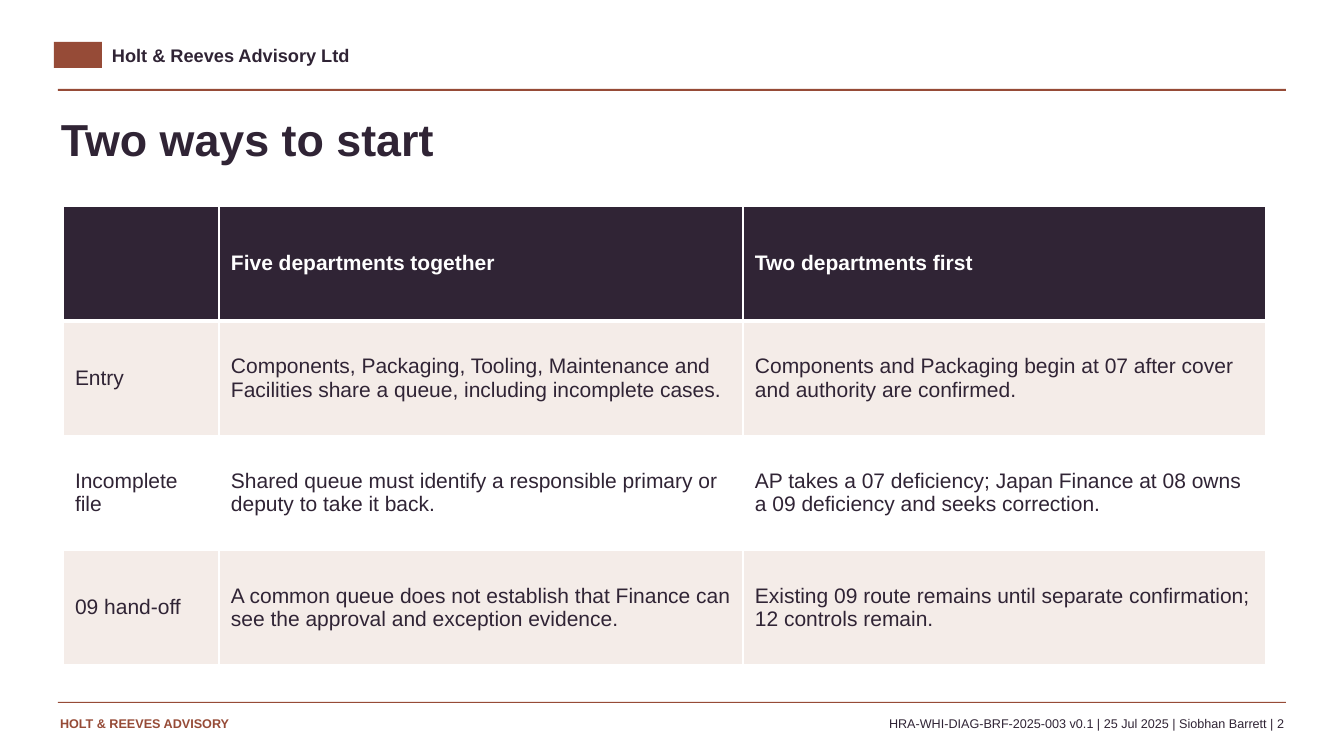
import pptx
import pptx.dml.color
import pptx.enum.shapes
import pptx.enum.text
import pptx.oxml
import pptx.oxml.ns
import pptx.util

EMU_PER_PX = 914400 / 100.8
FONT = "Arial"
COLORS = {
    "plum": "302435",
    "rust": "964B37",
    "blush": "F4ECE8",
    "white": "FFFFFF",
}
COLUMN_WIDTHS = [156, 524, 523]
ROWS = [
    ["", "Five departments together", "Two departments first"],
    ["Entry",
     "Components, Packaging, Tooling, Maintenance and Facilities share a queue, "
     "including incomplete cases.",
     "Components and Packaging begin at 07 after cover and authority are confirmed."],
    ["Incomplete file",
     "Shared queue must identify a responsible primary or deputy to take it back.",
     "AP takes a 07 deficiency; Japan Finance at 08 owns a 09 deficiency "
     "and seeks correction."],
    ["09 hand-off",
     "A common queue does not establish that Finance can see the approval "
     "and exception evidence.",
     "Existing 09 route remains until separate confirmation; 12 controls remain."],
]


def px(n):
    return pptx.util.Emu(round(n * EMU_PER_PX))


def rgb(name):
    return pptx.dml.color.RGBColor.from_string(COLORS[name])


def write(tf, text, size=15, color="plum", bold=False, align=None):
    """Put one formatted run in a text frame."""
    p = tf.paragraphs[0]
    p.alignment = align
    r = p.add_run()
    r.text = text
    r.font.name = FONT
    r.font.size = pptx.util.Pt(size)
    r.font.bold = bold
    r.font.color.rgb = rgb(color)


def add_text(slide, box, text, inset_top=0, **fmt):
    tf = slide.shapes.add_textbox(*map(px, box)).text_frame
    tf.word_wrap = True
    tf.margin_left = tf.margin_right = tf.margin_bottom = 0
    tf.margin_top = px(inset_top)
    write(tf, text, **fmt)


def add_block(slide, box, color):
    kind = pptx.enum.shapes.MSO_SHAPE.RECTANGLE
    sp = slide.shapes.add_shape(kind, *map(px, box))
    sp.shadow.inherit = False
    sp.fill.solid()
    sp.fill.fore_color.rgb = rgb(color)
    sp.line.fill.background()


def set_borders(cell, bottom):
    """Draw white cell edges; the bottom width is given in points."""
    tc_pr = cell._tc.get_or_add_tcPr()
    for side, width in (("L", 1), ("R", 1), ("T", 1), ("B", bottom)):
        tc_pr.append(pptx.oxml.parse_xml(
            f'<a:ln{side} {pptx.oxml.ns.nsdecls("a")} w="{pptx.util.Pt(width)}">'
            f'<a:solidFill><a:srgbClr val="{COLORS["white"]}"/></a:solidFill>'
            f'</a:ln{side}>'))


def fill_cell(cell, text, fill, header):
    set_borders(cell, bottom=3 if header else 1)
    cell.fill.solid()
    cell.fill.fore_color.rgb = rgb(fill)
    cell.vertical_anchor = pptx.enum.text.MSO_ANCHOR.MIDDLE
    cell.margin_left = cell.margin_right = px(12)
    cell.margin_top = cell.margin_bottom = px(5)
    if text:
        write(cell.text_frame, text, color="white" if header else "plum", bold=header)


def add_comparison(slide, left, top, height):
    table = slide.shapes.add_table(
        len(ROWS), len(COLUMN_WIDTHS),
        px(left), px(top), px(sum(COLUMN_WIDTHS)), px(height)).table
    table.horz_banding = False
    for column, width in zip(table.columns, COLUMN_WIDTHS):
        column.width = px(width)
    for i, row in enumerate(ROWS):
        fill = "plum" if i == 0 else "blush" if i % 2 else "white"
        for j, text in enumerate(row):
            fill_cell(table.cell(i, j), text, fill, header=i == 0)


def main():
    prs = pptx.Presentation()
    prs.slide_width, prs.slide_height = px(1344), px(756)
    slide = prs.slides.add_slide(prs.slide_layouts[6])

    # Header band
    add_block(slide, (54, 42, 48, 26), "rust")
    add_text(slide, (112, 44, 605, 27), "Holt & Reeves Advisory Ltd", size=13, bold=True)
    add_block(slide, (58, 89, 1228, 2), "rust")

    # Title and comparison table
    add_text(slide, (61, 108, 1210, 79), "Two ways to start", inset_top=4,
             size=32, bold=True)
    add_comparison(slide, 63, 206, 459)

    # Footer
    add_block(slide, (58, 702, 1228, 1), "rust")
    add_text(slide, (60, 716, 343, 25), "HOLT & REEVES ADVISORY",
             size=9, color="rust", bold=True)
    add_text(slide, (415, 716, 869, 20),
             "HRA-WHI-DIAG-BRF-2025-003 v0.1 | 25 Jul 2025 | Siobhan Barrett | 2",
             size=9, align=pptx.enum.text.PP_ALIGN.RIGHT)

    prs.save("out.pptx")


if __name__ == "__main__":
    main()
